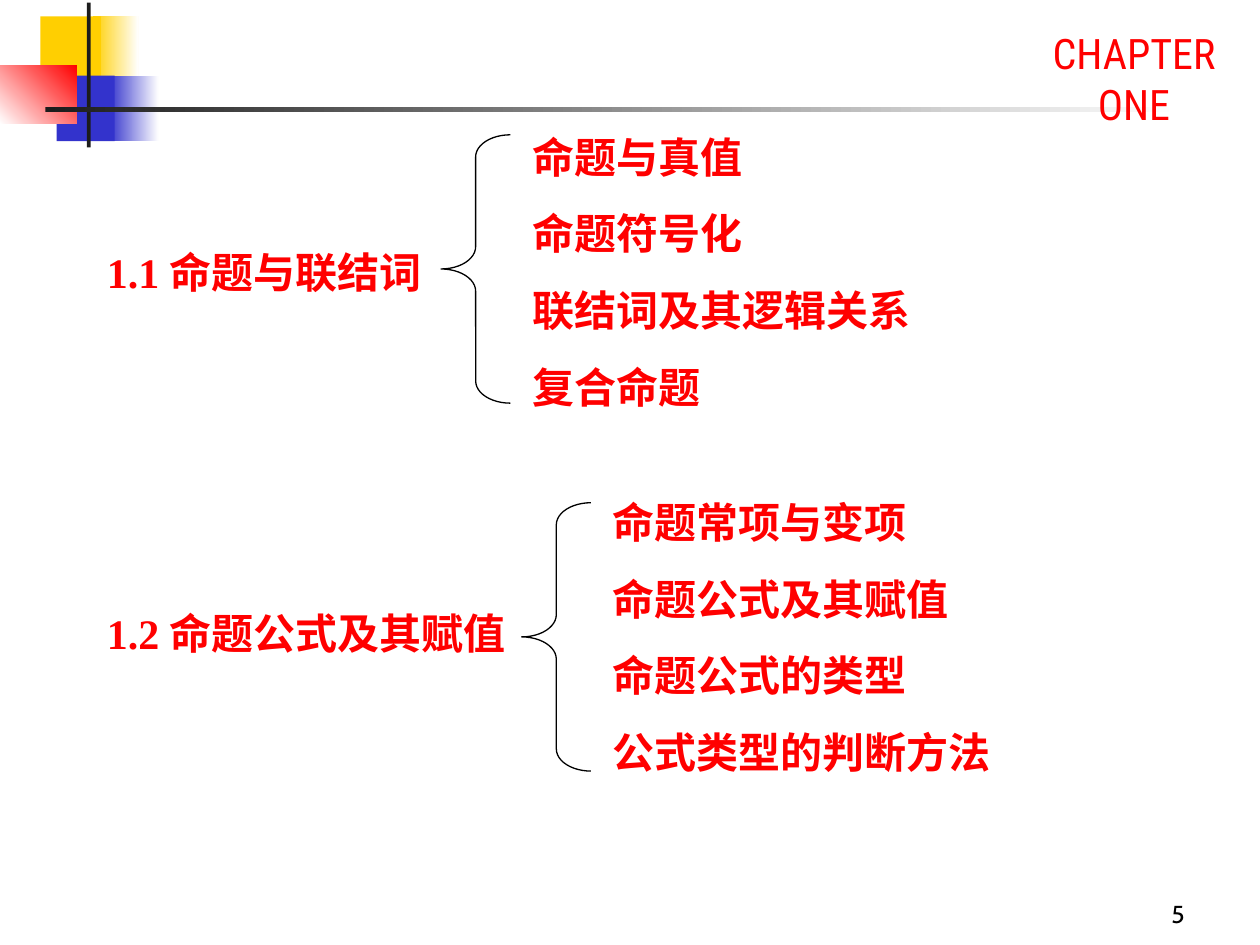
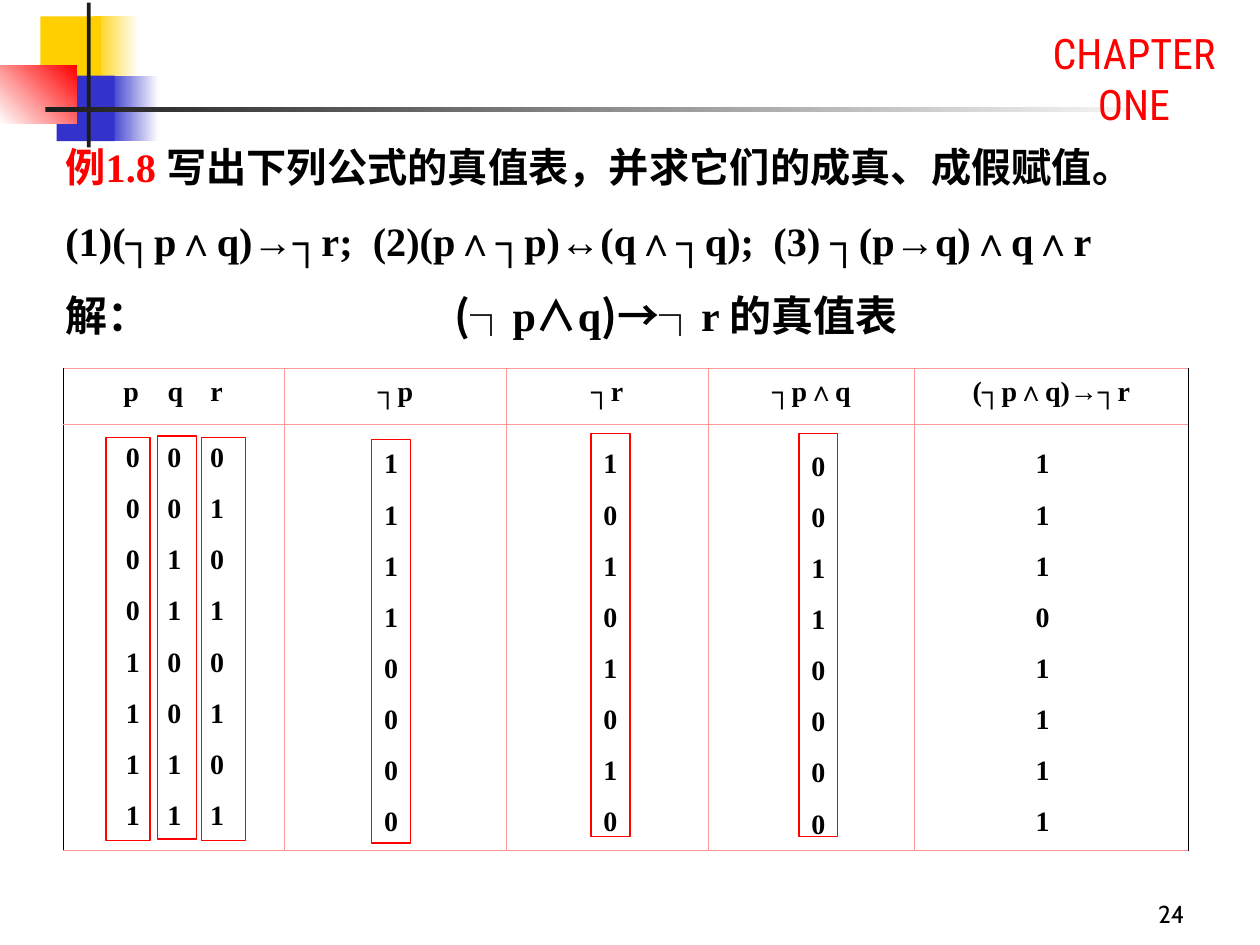
import itertools

import lxml.etree
import pptx
import pptx.dml.color
import pptx.enum.shapes
import pptx.enum.text
import pptx.oxml
import pptx.oxml.ns
import pptx.util

Inches, Pt = pptx.util.Inches, pptx.util.Pt
ALIGN = pptx.enum.text.PP_ALIGN
ANCHOR = pptx.enum.text.MSO_ANCHOR
SHAPE = pptx.enum.shapes.MSO_SHAPE

COLORS = {"red": "FF0000", "black": "000000", "white": "FFFFFF", "yellow": "FFCF01",
          "blue": "3333CC", "ink": "1C1C1C", "pink": "FF9999"}
SERIF, CHINESE, TITLE_FONT, NUMBER_FONT = (
    "Times New Roman", "Noto Sans CJK SC", "Roboto Condensed", "Cabin")

# ---- Shared content ----
CHAPTER = "CHAPTER ONE"
# Left, top, width, height, colours (two make a gradient), gradient angle
DECORATION = [
    (0.74, 0.13, 0.36, 0.52, ("yellow", "white"), 0),
    (0.86, 0.6, 0.4, 0.52, ("blue", "white"), 0),
    (0.32, 0.13, 0.48, 0.52, ("yellow",), 0),
    (0.45, 0.6, 0.46, 0.52, ("blue",), 0),
    (0, 0.52, 0.61, 0.46, ("white", "red"), 45),
    (0.69, 0.02, 0.03, 1.15, ("ink",), 0),
    (0.36, 0.85, 9, 0.04, ("ink", "white"), 0),
]

# ---- Outline slide: heading, its box, brace corner, topics corner ----
SECTIONS = [
    {"heading": "1.1 命题与联结词", "heading_box": (0.75, 1.91, 2.99, 0.5),
     "brace": (3.5, 1.07), "topics_at": (4.13, 0.99),
     "topics": ["命题与真值", "命题符号化", "联结词及其逻辑关系", "复合命题"]},
    {"heading": "1.2 命题公式及其赋值", "heading_box": (0.75, 4.77, 3.47, 0.5),
     "brace": (4.14, 3.99), "topics_at": (4.76, 3.89),
     "topics": ["命题常项与变项", "命题公式及其赋值", "命题公式的类型", "公式类型的判断方法"]},
]

# ---- Truth table slide ----
# Runs: text, Latin font, East Asian font, colour
PROBLEM = [
    [("例1.8 ", SERIF, CHINESE, "red"),
     ("写出下列公式的真值表，并求它们的成真、成假赋值。", SERIF, CHINESE, "black")],
    [("(1)(┐p∧q)→┐r;\t(2)(p∧┐p)↔(q∧┐q);\t(3) ┐(p→q)∧q∧r", SERIF, SERIF, "black")],
]
SOLUTION_LABEL = [("解：", CHINESE, CHINESE, "black")]
TABLE_CAPTION = [(text, font, CHINESE, "black") for text, font in [
    ("(┐", CHINESE), ("p", SERIF), ("∧", CHINESE), ("q", SERIF),
    (")→┐", CHINESE), ("r ", SERIF), ("的真值表", CHINESE)]]
HEADERS = ["p\tq\tr", "┐p", "┐r", "┐p∧q", "(┐p∧q)→┐r"]
COLUMN_WIDTHS = [1.76, 1.76, 1.6, 1.64, 2.17]
ROW_HEIGHTS = [0.45, 3.38]
ASSIGNMENTS = list(itertools.product((0, 1), repeat=3))
P_VALUES, Q_VALUES, R_VALUES = zip(*ASSIGNMENTS)
# Left, top, values
VALUE_COLUMNS = [
    (0.9, 3.44, P_VALUES),
    (1.23, 3.44, Q_VALUES),
    (1.57, 3.44, R_VALUES),
    (2.95, 3.49, [1 - p for p in P_VALUES]),
    (4.69, 3.49, [1 - r for r in R_VALUES]),
    (6.34, 3.51, [(1 - p) & q for p, q, r in ASSIGNMENTS]),
    (8.12, 3.49, [1 - ((1 - p) & q & r) for p, q, r in ASSIGNMENTS]),
]
VALUE_WIDTH, VALUE_HEIGHT = 0.35, 3.21
# Left, top, width of the frames around value columns
FRAMES = [(2.95, 3.49, 0.31), (1.25, 3.46, 0.31), (4.69, 3.44, 0.31),
          (6.34, 3.44, 0.31), (0.84, 3.47, 0.35), (1.6, 3.47, 0.35)]
FRAME_HEIGHT = 3.2


def rgb(name):
    return pptx.dml.color.RGBColor.from_string(COLORS[name])


def place(shape, box):
    shape.left, shape.top, shape.width, shape.height = map(Inches, box)


def serif_run(text, color, asian=CHINESE):
    return [(str(text), SERIF, asian, color)]


def write(frame, paragraphs, size, bold=True, align=ALIGN.LEFT, before=0, tabs=()):
    """Fill a text frame with paragraphs, each a list of runs."""
    for index, runs in enumerate(paragraphs):
        paragraph = frame.paragraphs[0] if index == 0 else frame.add_paragraph()
        paragraph.alignment = align
        paragraph.line_spacing = Pt(round(size * 1.2, 1))
        paragraph.space_before = Pt(before if index else 0)
        properties = paragraph._p.get_or_add_pPr()
        if tabs:  # an explicit indent would override the tab stops
            tab_list = lxml.etree.SubElement(properties, pptx.oxml.ns.qn("a:tabLst"))
            for position in tabs:
                lxml.etree.SubElement(tab_list, pptx.oxml.ns.qn("a:tab"),
                                      pos=str(Inches(position)), algn="l")
        else:
            properties.set("marL", "0")
            properties.set("indent", "0")
            lxml.etree.SubElement(properties, pptx.oxml.ns.qn("a:buNone"))
        for text, latin, asian, color in runs:
            run = paragraph.add_run()
            run.text = text
            run.font.name, run.font.size, run.font.bold = latin, Pt(size), bold
            run.font.color.rgb = rgb(color)
            east_asian = lxml.etree.Element(pptx.oxml.ns.qn("a:ea"), typeface=asian)
            run._r.rPr.find(pptx.oxml.ns.qn("a:latin")).addnext(east_asian)


def fill_box(shape, box, paragraphs, size, anchor=ANCHOR.TOP, **style):
    place(shape, box)
    frame = shape.text_frame
    frame.word_wrap = True
    frame.auto_size = pptx.enum.text.MSO_AUTO_SIZE.NONE
    frame.vertical_anchor = anchor
    write(frame, paragraphs, size, **style)


def add_text(slide, box, paragraphs, size, **style):
    shape = slide.shapes.add_textbox(0, 0, 0, 0)
    fill_box(shape, box, paragraphs, size, **style)


def add_preset(slide, kind, box, colors=(), angle=0, line=None):
    shape = slide.shapes.add_shape(kind, *map(Inches, box))
    shape.shadow.inherit = False
    if len(colors) == 2:
        shape.fill.gradient()
        shape.fill.gradient_angle = angle
        for stop, color in zip(shape.fill.gradient_stops, colors):
            stop.color.rgb = rgb(color)
    elif colors:
        shape.fill.solid()
        shape.fill.fore_color.rgb = rgb(colors[0])
    else:
        shape.fill.background()
    if line:
        shape.line.color.rgb = rgb(line)
        shape.line.width = Pt(0.75)
    else:
        shape.line.fill.background()
    return shape


def add_slide(presentation, layout, number):
    """Start a slide with the corner decoration, chapter title and page number."""
    slide = presentation.slides.add_slide(presentation.slide_layouts[layout])
    for *box, colors, angle in DECORATION:
        add_preset(slide, SHAPE.RECTANGLE, box, colors, angle)
    title = slide.shapes.title
    fill_box(title, (8, 0.17, 2, 0.9),
             [[(CHAPTER, TITLE_FONT, TITLE_FONT, "red")]], 24, bold=False, align=ALIGN.CENTER)
    # Bring the title in front of the horizontal bar
    slide.shapes._spTree.append(title._element)
    add_text(slide, (7.42, 6.92, 2.08, 0.5),
             [[(str(number), NUMBER_FONT, NUMBER_FONT, "black")]], 14,
             bold=False, align=ALIGN.RIGHT, anchor=ANCHOR.BOTTOM)
    return slide


def set_borders(cell, sides):
    properties = cell._tc.get_or_add_tcPr()
    for index, (side, color) in enumerate(sides.items()):
        properties.insert(index, pptx.oxml.parse_xml(
            f'<a:ln{side} {pptx.oxml.ns.nsdecls("a")} w="{Pt(0.45)}"><a:solidFill>'
            f'<a:srgbClr val="{COLORS[color]}"/></a:solidFill></a:ln{side}>'))


def add_truth_table(slide):
    box = (0.5, 2.92, sum(COLUMN_WIDTHS), sum(ROW_HEIGHTS))
    table = slide.shapes.add_table(len(ROW_HEIGHTS), len(HEADERS), *map(Inches, box)).table
    table.first_row = table.horz_banding = False
    for row, height in zip(table.rows, ROW_HEIGHTS):
        row.height = Inches(height)
    last = len(HEADERS) - 1
    for index, (header, width) in enumerate(zip(HEADERS, COLUMN_WIDTHS)):
        table.columns[index].width = Inches(width)
        for row in range(len(ROW_HEIGHTS)):
            cell = table.cell(row, index)
            cell.fill.background()
            set_borders(cell, {"L": "pink" if index else "black",
                               "R": "black" if index == last else "pink",
                               "T": "pink", "B": "pink"})
        cell = table.cell(0, index)
        variables = index == 0
        if variables:
            cell.margin_left = Inches(0.48)
        write(cell.text_frame, [serif_run(header, "black", SERIF)], 16,
              align=ALIGN.LEFT if variables else ALIGN.CENTER,
              tabs=(0.35, 0.69) if variables else ())


def build_outline(presentation):
    slide = add_slide(presentation, 3, 5)
    bodies = [slide.placeholders[1], slide.placeholders[2]]
    for section, body in zip(SECTIONS, bodies):
        add_text(slide, section["heading_box"], [serif_run(section["heading"], "red")], 24)
        brace = add_preset(slide, SHAPE.LEFT_BRACE, (*section["brace"], 0.55, 2.13), line="black")
        brace.adjustments[0] = 0.32
        fill_box(body, (*section["topics_at"], 3.62, 2.33),
                 [serif_run(topic, "red") for topic in section["topics"]], 24, before=15)


def build_truth_table(presentation):
    slide = add_slide(presentation, 5, 24)
    add_text(slide, (0.42, 1.08, 9.08, 1.07), PROBLEM, 23, before=14.4, tabs=(2.44, 5.62))
    add_truth_table(slide)
    add_text(slide, (0.42, 2.25, 1, 0.5), [SOLUTION_LABEL], 24)
    add_text(slide, (3.51, 2.25, 5.49, 0.5), [TABLE_CAPTION], 24)
    for left, top, values in VALUE_COLUMNS:
        add_text(slide, (left, top, VALUE_WIDTH, VALUE_HEIGHT),
                 [serif_run(value, "black") for value in values], 16, before=10)
    for frame in FRAMES:
        add_preset(slide, SHAPE.RECTANGLE, (*frame, FRAME_HEIGHT), line="red")


def main():
    presentation = pptx.Presentation()
    presentation.slide_width, presentation.slide_height = Inches(10), Inches(7.5)
    build_outline(presentation)
    build_truth_table(presentation)
    presentation.save("out.pptx")


if __name__ == "__main__":
    main()
